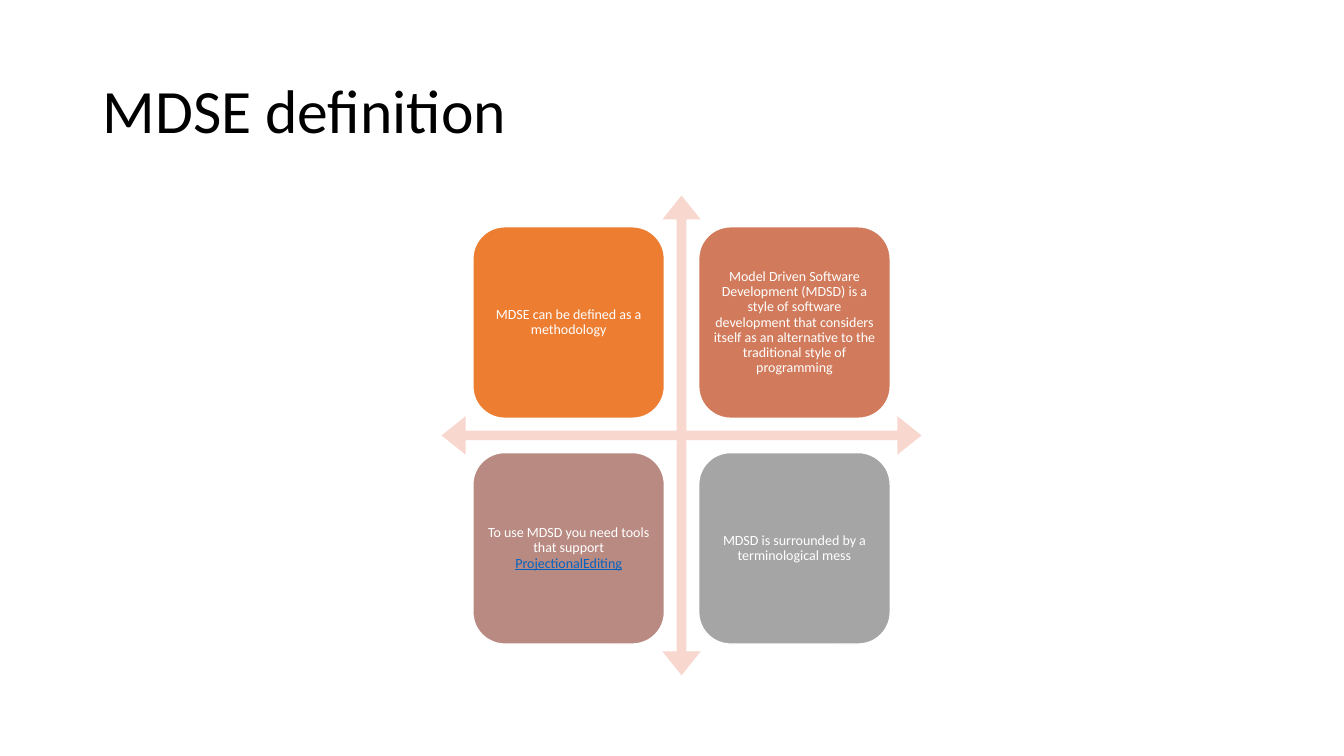
from pptx import Presentation
from pptx.dml.color import RGBColor
from pptx.enum.shapes import MSO_SHAPE
from pptx.enum.text import MSO_ANCHOR, PP_ALIGN
from pptx.util import Inches, Pt

QUAD_ARROW = MSO_SHAPE.QUAD_ARROW
ROUNDED_RECTANGLE = MSO_SHAPE.ROUNDED_RECTANGLE
MIDDLE = MSO_ANCHOR.MIDDLE
CENTER = PP_ALIGN.CENTER

FONT = "Calibri"
BLACK = RGBColor(0x00, 0x00, 0x00)
WHITE = RGBColor(0xFF, 0xFF, 0xFF)
ARROW_PINK = RGBColor(0xF8, 0xD7, 0xCE)
ORANGE = RGBColor(0xED, 0x7D, 0x31)
TERRACOTTA = RGBColor(0xD1, 0x7B, 0x5C)
DUSTY_ROSE = RGBColor(0xB9, 0x8A, 0x82)
GRAY = RGBColor(0xA5, 0xA5, 0xA5)
LINK_BLUE = RGBColor(0x05, 0x63, 0xC1)

TILE_SIZE = 1.9
TILE_GAP = 0.34
# Row by row: fill colour, plain text, underlined text
TILES = [
    (ORANGE, "MDSE can be defined as a methodology", ""),
    (TERRACOTTA, "Model Driven Software Development (MDSD) is a style of software "
     "development that considers itself as an alternative to the traditional "
     "style of programming", ""),
    (DUSTY_ROSE, "To use MDSD you need tools that support ", "ProjectionalEditing"),
    (GRAY, "MDSD is surrounded by a terminological mess", ""),
]


def add_run(paragraph, text, size, color, underline=False):
    run = paragraph.add_run()
    run.text = text
    run.font.name = FONT
    run.font.size = Pt(size)
    run.font.color.rgb = color
    if underline:
        run.font.underline = True


def add_title(slide, left, top, width, height):
    box = slide.shapes.add_textbox(Inches(left), Inches(top), Inches(width), Inches(height))
    frame = box.text_frame
    frame.word_wrap = True
    frame.vertical_anchor = MIDDLE
    paragraph = frame.paragraphs[0]
    paragraph.line_spacing = 0.9
    add_run(paragraph, "MDSE definition", 44, BLACK)


def add_filled_shape(slide, kind, left, top, size, color):
    shape = slide.shapes.add_shape(kind, Inches(left), Inches(top), Inches(size), Inches(size))
    shape.shadow.inherit = False
    shape.fill.solid()
    shape.fill.fore_color.rgb = color
    shape.line.fill.background()
    return shape


def add_tile(slide, left, top, color, text, link_text):
    tile = add_filled_shape(slide, ROUNDED_RECTANGLE, left, top, TILE_SIZE, color)
    tile.line.color.rgb = WHITE
    tile.line.width = Pt(1)
    frame = tile.text_frame
    frame.word_wrap = True
    frame.vertical_anchor = MIDDLE
    frame.margin_left = frame.margin_right = Inches(0.04)
    frame.margin_top = frame.margin_bottom = Inches(0.04)
    paragraph = frame.paragraphs[0]
    paragraph.alignment = CENTER
    paragraph.line_spacing = 0.9
    add_run(paragraph, text, 10, WHITE)
    if link_text:
        add_run(paragraph, link_text, 10, LINK_BLUE, underline=True)


def add_matrix(slide, left, top, size):
    """Draw the four-way arrow with a two-by-two grid of tiles centred on it."""
    arrow = add_filled_shape(slide, QUAD_ARROW, left, top, size, ARROW_PINK)
    for index, adjustment in enumerate((0.02, 0.04, 0.05)):
        arrow.adjustments[index] = adjustment

    margin = (size - 2 * TILE_SIZE - TILE_GAP) / 2
    pitch = TILE_SIZE + TILE_GAP
    for index, tile in enumerate(TILES):
        row, column = divmod(index, 2)
        add_tile(slide, left + margin + column * pitch, top + margin + row * pitch, *tile)


def main():
    presentation = Presentation()
    presentation.slide_width = Inches(13.33)
    presentation.slide_height = Inches(7.5)
    slide = presentation.slides.add_slide(presentation.slide_layouts[6])
    add_title(slide, 0.92, 0.4, 11.5, 1.45)
    add_matrix(slide, 4.38, 1.94, 4.76)
    presentation.save("out.pptx")


if __name__ == "__main__":
    main()
